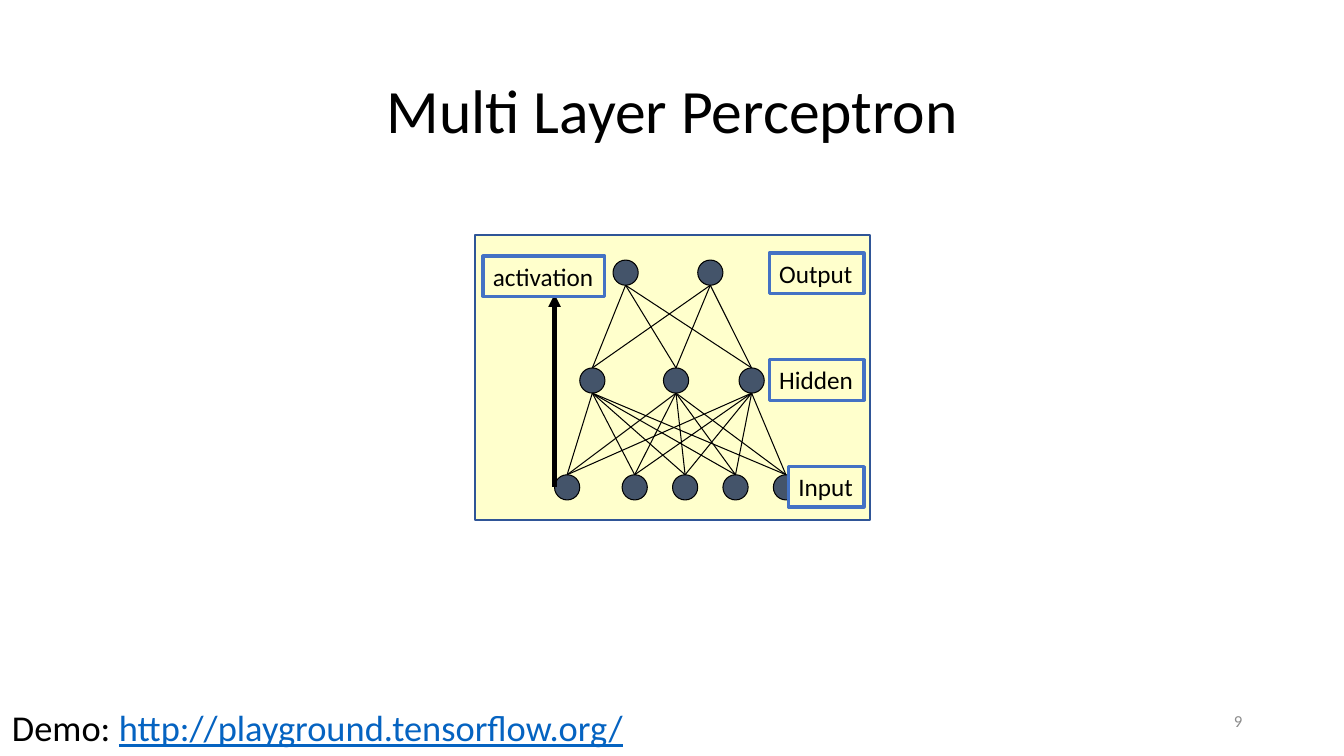
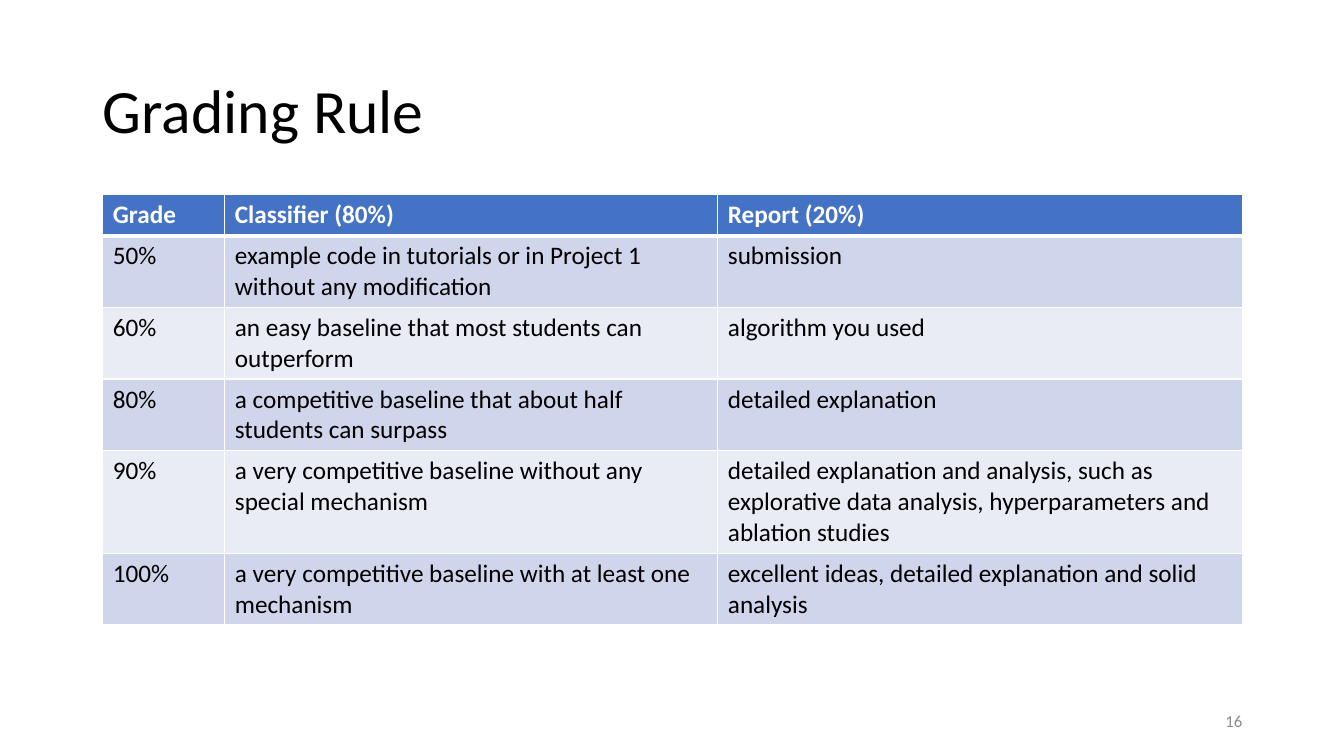
from itertools import product

from lxml.etree import SubElement
from pptx import Presentation
from pptx.dml.color import RGBColor
from pptx.enum.shapes import MSO_CONNECTOR, MSO_SHAPE
from pptx.enum.text import MSO_ANCHOR, PP_ALIGN
from pptx.oxml.ns import qn
from pptx.util import Inches, Pt

BLACK, WHITE, GREY = "000000", "FFFFFF", "8C8C8C"
BLUE, NAVY, LINK = "4472C4", "2F5597", "0563C1"
CREAM, SLATE = "FFFFCC", "44546A"
BANDS = "CFD5EA", "E9EBF5"


def rgb(value):
    return RGBColor.from_string(value)


def set_all(target, values):
    for name, value in values.items():
        setattr(target, name, value)


class Deck:
    """Holds the shared style and the slide being built."""

    font = "Calibri"

    def __init__(self):
        self.prs = Presentation()
        set_all(self.prs, {"slide_width": Inches(13.33), "slide_height": Inches(7.5)})
        self.s = None

    def run(self, p, text, size, color=BLACK, **fmt):
        r = p.add_run()
        r.text = text
        set_all(r.font, {"name": self.font, "size": Pt(size), **fmt})
        r.font.color.rgb = rgb(color)

    def slide(self, title, number, align=PP_ALIGN.LEFT):
        self.s = self.prs.slides.add_slide(self.prs.slide_layouts[5])
        sp = self.s.shapes.title
        set_all(sp, {"left": Inches(0.92), "top": Inches(0.4),
                     "width": Inches(11.5), "height": Inches(1.45)})
        sp.text_frame.vertical_anchor = MSO_ANCHOR.MIDDLE
        p = sp.text_frame.paragraphs[0]
        set_all(p, {"alignment": align, "line_spacing": 0.9})
        self.run(p, title, 44)
        tf = self.text(9.42, 6.95, 3, 0.4, [(str(number), 12, GREY)], PP_ALIGN.RIGHT)
        tf.vertical_anchor = MSO_ANCHOR.MIDDLE

    def text(self, x, y, w, h, runs, align=PP_ALIGN.LEFT):
        sp = self.s.shapes.add_textbox(Inches(x), Inches(y), Inches(w), Inches(h))
        tf = sp.text_frame
        tf.word_wrap = True
        p = tf.paragraphs[0]
        p.alignment = align
        for text, size, color, *underline in runs:
            self.run(p, text, size, color, underline=bool(underline))
        return tf

    def shape(self, kind, x, y, w, h, fill, line, weight):
        sp = self.s.shapes.add_shape(kind, Inches(x), Inches(y), Inches(w), Inches(h))
        sp.shadow.inherit = False
        sp.fill.solid()
        sp.fill.fore_color.rgb = rgb(fill)
        sp.line.color.rgb = rgb(line)
        sp.line.width = Pt(weight)
        return sp

    def label(self, text, x, y, w):
        sp = self.shape(MSO_SHAPE.RECTANGLE, x, y, w, 0.4, CREAM, BLUE, 2.25)
        tf = sp.text_frame
        set_all(tf, {"word_wrap": False, "vertical_anchor": MSO_ANCHOR.TOP})
        p = tf.paragraphs[0]
        p.alignment = PP_ALIGN.LEFT
        self.run(p, text, 18)

    def line(self, start, end, weight=0.75, arrow=False):
        cxn = self.s.shapes.add_connector(
            MSO_CONNECTOR.STRAIGHT, *(Inches(v) for v in (*start, *end)))
        cxn.line.color.rgb = rgb(BLACK)
        cxn.line.width = Pt(weight)
        spPr = cxn._element.spPr
        if arrow:
            SubElement(spPr.get_or_add_ln(), qn("a:tailEnd"), type="triangle")
        SubElement(spPr, qn("a:effectLst"))

    def cell(self, cell, text, fill, header):
        tcPr = cell._tc.get_or_add_tcPr()
        for side in "LRTB":
            weight = 3 if header and side == "B" else 1
            ln = SubElement(tcPr, qn(f"a:ln{side}"), w=str(Pt(weight)))
            SubElement(SubElement(ln, qn("a:solidFill")), qn("a:srgbClr"), val=WHITE)
        cell.fill.solid()
        cell.fill.fore_color.rgb = rgb(fill)
        self.run(cell.text_frame.paragraphs[0], text, 18,
                 WHITE if header else BLACK, bold=header)

    def table(self, x, y, widths, heights, rows):
        frame = self.s.shapes.add_table(
            len(rows), len(widths), Inches(x), Inches(y),
            Inches(sum(widths)), Inches(sum(heights)))
        table = frame.table
        for column, width in zip(table.columns, widths):
            column.width = Inches(width)
        for i, (row, height, texts) in enumerate(zip(table.rows, heights, rows)):
            row.height = Inches(height)
            fill = BANDS[(i - 1) % 2] if i else BLUE
            for cell, text in zip(row.cells, texts):
                self.cell(cell, text, fill, i == 0)


def perceptron(deck):
    deck.slide("Multi Layer Perceptron", 9, PP_ALIGN.CENTER)
    deck.shape(MSO_SHAPE.RECTANGLE, 4.71, 2.33, 3.92, 2.83, CREAM, NAVY, 1)
    size = 0.25
    layers = [
        (2.58, [6.08, 6.92]),
        (3.65, [5.75, 6.58, 7.33]),
        (4.71, [5.5, 6.17, 6.67, 7.17, 7.67]),
    ]
    for y, xs in layers:
        for x in xs:
            deck.shape(MSO_SHAPE.OVAL, x, y, size, size, SLATE, BLACK, 0.75)
    for (upper, tops), (lower, bottoms) in zip(layers, layers[1:]):
        for x1, x2 in product(tops, bottoms):
            deck.line((x1 + size / 2, upper + size), (x2 + size / 2, lower))
    deck.line((5.5, 4.83), (5.5, 2.92), 3, arrow=True)

    deck.label("activation", 4.79, 2.54, 1.21)
    right = 8.57
    for text, y, w in [("Input", 4.63, 0.75), ("Hidden", 3.57, 0.94), ("Output", 2.51, 0.94)]:
        deck.label(text, right - w, y, w)
    deck.text(0.02, 6.95, 6.29, 0.54, [
        ("Demo: ", 26, BLACK),
        ("http://playground.tensorflow.org/", 26, LINK, True),
    ])


def grading(deck):
    deck.slide("Grading Rule", 16)
    rows = [
        ("Grade", "Classifier (80%)", "Report (20%)"),
        ("50%", "example code in tutorials or in Project 1 without any modification",
         "submission"),
        ("60%", "an easy baseline that most students can outperform",
         "algorithm you used"),
        ("80%", "a competitive baseline that about half students can surpass",
         "detailed explanation"),
        ("90%", "a very competitive baseline without any special mechanism",
         "detailed explanation and analysis, such as explorative data analysis, "
         "hyperparameters and ablation studies"),
        ("100%", "a very competitive baseline with at least one mechanism",
         "excellent ideas, detailed explanation and solid analysis"),
    ]
    deck.table(1.02, 1.93, [1.21, 4.89, 5.2], [0.41, 0.71, 0.71, 0.71, 1.02, 0.71], rows)


def main():
    deck = Deck()
    perceptron(deck)
    grading(deck)
    deck.prs.save("out.pptx")


if __name__ == "__main__":
    main()
